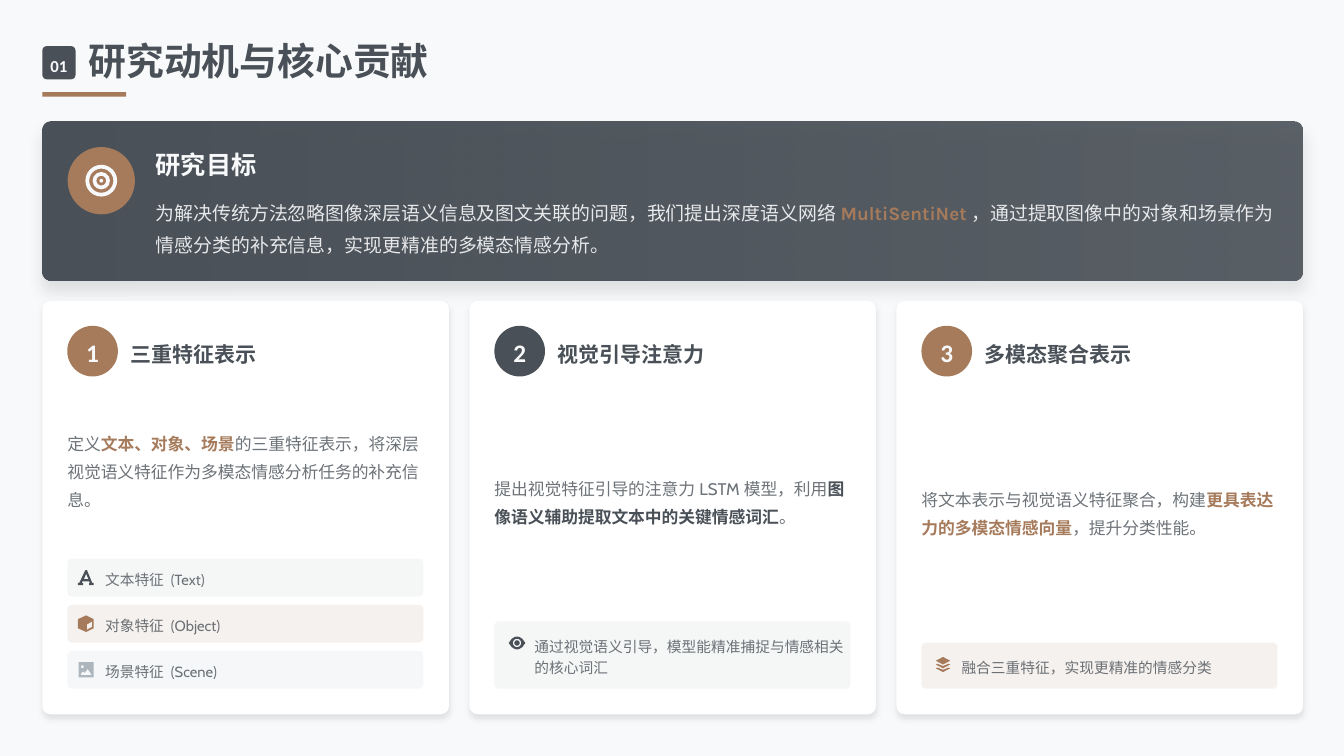
import math

import pptx
import pptx.dml.color
import pptx.enum.shapes
import pptx.enum.text
import pptx.oxml
import pptx.oxml.ns
import pptx.util
from pptx.util import Inches

COLORS = {"slate": "495057", "copper": "A67B5C", "mist": "ADB5BD",
          "pale": "F8F9FA", "white": "FFFFFF"}
HEADING = "Noto Sans CJK SC"
BODY = "Cabin"
NUMBER = "Calibri"
SHAPES = pptx.enum.shapes.MSO_SHAPE
ALIGN = pptx.enum.text.PP_ALIGN


def circle(x, y, radius):
    """Return the points of a circle in hundredths of an inch."""
    return [(x + radius * math.cos(step * math.pi / 16),
             y + radius * math.sin(step * math.pi / 16)) for step in range(32)]


def layer(shift):
    """Return one lower sheet of the stack icon."""
    points = [(2, 9), (9.5, 12), (17, 9), (19, 10), (9.5, 15), (0, 10)]
    return [(x, y + shift) for x, y in points]


ICONS = {
    "letter": [[(10, 1), (12, 1), (19, 18), (21, 18), (21, 21), (15, 21), (15, 18),
                (16, 18), (15, 16), (6, 16), (5, 18), (7, 18), (7, 21), (0, 21),
                (0, 18), (2, 18)], [(11, 6), (8, 13), (14, 13)]],
    "cube": [[(11, 0), (21, 5), (21, 17), (11, 22), (0, 17), (0, 5)],
             [(19, 8), (12, 12), (12, 19), (19, 15)]],
    "image": [[(1, 1), (21, 1), (21, 21), (1, 21)], circle(6, 7, 2),
              [(4, 18), (4, 16), (7, 13), (9, 15), (13, 10), (18, 17), (18, 18)]],
    "eye": [[(0, 9.5), (4, 4), (8, 1.5), (11, 1), (14, 1.5), (18, 4), (22, 9.5),
             (18, 15), (14, 17.5), (11, 18), (8, 17.5), (4, 15)],
            circle(11, 9.5, 5.5), circle(11, 9.5, 3.5)],
    "stack": [[(9.5, 0), (19, 5), (9.5, 10), (0, 5)], layer(0), layer(5)],
}


def paint(fill, color, alpha=100):
    """Fill with a named colour at an opacity in percent."""
    fill.solid()
    fill.fore_color.rgb = pptx.dml.color.RGBColor.from_string(COLORS[color])
    if alpha < 100:
        element = fill._xPr.find(".//" + pptx.oxml.ns.qn("a:srgbClr"))
        element.append(pptx.oxml.parse_xml(
            f'<a:alpha {pptx.oxml.ns.nsdecls("a")} val="{alpha * 1000}"/>'))


def add_block(slide, kind, box, color, alpha=100, radius=None):
    """Add a borderless preset shape, with a corner radius in inches."""
    shape = slide.shapes.add_shape(kind, *map(Inches, box))
    shape.shadow.inherit = False
    shape.line.fill.background()
    paint(shape.fill, color, alpha)
    if radius:
        shape.adjustments[0] = radius / min(box[2:])
    return shape


def add_shadow(shape, blur, distance):
    """Give the shape a soft downward shadow, lengths in points."""
    effects = shape._element.spPr.find(pptx.oxml.ns.qn("a:effectLst"))
    effects.append(pptx.oxml.parse_xml(
        f'<a:outerShdw {pptx.oxml.ns.nsdecls("a")} blurRad="{blur * 12700}" '
        f'dist="{distance * 12700}" dir="5400000" algn="ctr" rotWithShape="0">'
        '<a:srgbClr val="000000"><a:alpha val="10000"/></a:srgbClr></a:outerShdw>'))


def write(shape, runs, size, font, spacing, bold=False, align=ALIGN.LEFT, wrap=True):
    """Write (text, colour, opacity, bold, font) runs as one paragraph."""
    frame = shape.text_frame
    frame.word_wrap = wrap
    frame.vertical_anchor = pptx.enum.text.MSO_ANCHOR.MIDDLE
    frame.margin_left = frame.margin_right = frame.margin_top = frame.margin_bottom = 0
    paragraph = frame.paragraphs[0]
    paragraph.alignment = align
    paragraph.line_spacing = spacing
    for text, color, alpha, *style in runs:
        run = paragraph.add_run()
        run.text = text
        run.font.size = pptx.util.Pt(size)
        run.font.bold = style[0] if style else bold
        paint(run.font.fill, color, alpha)
        run.font.name = style[1] if len(style) > 1 else font
        run.font._element.find(pptx.oxml.ns.qn("a:latin")).addnext(pptx.oxml.parse_xml(
            f'<a:ea {pptx.oxml.ns.nsdecls("a")} typeface="{HEADING}"/>'))


def add_text(slide, box, runs, size, font, spacing, **options):
    """Add a text box."""
    write(slide.shapes.add_textbox(*map(Inches, box)), runs, size, font, spacing, **options)


def add_icon(slide, name, left, top, color):
    """Draw a named icon as one outline."""
    builder = None
    for contour in ICONS[name]:
        points = [(Inches(x / 100), Inches(y / 100)) for x, y in contour]
        if builder is None:
            builder = slide.shapes.build_freeform(*points[0])
        else:
            builder.move_to(*points[0])
        builder.add_line_segments(points[1:], close=True)
    shape = builder.convert_to_shape(Inches(left), Inches(top))
    shape.shadow.inherit = False
    shape.line.fill.background()
    paint(shape.fill, color)


def add_title(slide, left, top):
    """Add the numbered title and its underline."""
    badge = add_block(slide, SHAPES.ROUNDED_RECTANGLE, (left, top + 0.05, 0.44, 0.44),
                      "slate", radius=0.06)
    write(badge, [("01", "pale", 100)], 16, NUMBER, 1.3, bold=True, align=ALIGN.CENTER)
    add_text(slide, (left + 0.61, top, 4.75, 0.56), [("研究动机与核心贡献", "slate", 100)],
             36, HEADING, 0.9, bold=True, wrap=False)
    add_block(slide, SHAPES.RECTANGLE, (left, top + 0.66, 1.11, 0.06), "copper")


def add_goal(slide, left, top, width, height):
    """Add the dark banner with the research goal."""
    panel = add_block(slide, SHAPES.ROUNDED_RECTANGLE, (left, top, width, height),
                      "slate", radius=0.11)
    panel.fill.gradient()
    panel.fill.gradient_angle = 0
    for stop in panel.fill.gradient_stops:
        stop.color.rgb = pptx.dml.color.RGBColor.from_string(COLORS["slate"])
    last = panel._element.spPr.findall(".//" + pptx.oxml.ns.qn("a:srgbClr"))[-1]
    last.append(pptx.oxml.parse_xml(
        f'<a:alpha {pptx.oxml.ns.nsdecls("a")} val="90000"/>'))
    add_shadow(panel, 15, 10)
    center_x, center_y = left + 0.78, top + 0.78
    for kind, size, color, ring in [(SHAPES.OVAL, 0.89, "copper", None),
                                    (SHAPES.DONUT, 0.42, "pale", 0.05),
                                    (SHAPES.DONUT, 0.23, "pale", 0.05),
                                    (SHAPES.OVAL, 0.05, "pale", None)]:
        add_block(slide, kind, (center_x - size / 2, center_y - size / 2, size, size),
                  color, radius=ring)
    add_text(slide, (left + 1.5, top + 0.33, 15, 0.44), [("研究目标", "pale", 100)],
             24, HEADING, 1.1, bold=True)
    add_text(slide, (left + 1.5, top + 0.95, 14.96, 0.82), [
        ("为解决传统方法忽略图像深层语义信息及图文关联的问题，我们提出深度语义网络", "pale", 90),
        ("MultiSentiNet", "copper", 100, True, "Karla"),
        ("，通过提取图像中的对象和场景作为情感分类的补充信息，实现更精准的多模态情感分析。", "pale", 90),
    ], 18, BODY, 1.4)


def add_chip(slide, box, text, icon, tint, alpha, icon_offset, text_offset):
    """Add a tinted strip with an icon and a caption."""
    left, top, width, height = box
    add_block(slide, SHAPES.ROUNDED_RECTANGLE, box, tint, alpha, radius=0.06)
    add_icon(slide, icon, left + icon_offset, top + icon_offset, tint)
    inset = 0.17 if text_offset > 0.5 else 0.11
    add_text(slide, (left + text_offset, top + inset, 4.11, height - 2 * inset),
             [(text, "slate", 80)], 14, BODY, 1.2)


def add_card(slide, box, number, color, title, runs, chips, chip_height, offsets):
    """Add a contribution card whose chips rest on its lower margin."""
    left, top, width, height = box
    card = add_block(slide, SHAPES.ROUNDED_RECTANGLE, box, "white", radius=0.11)
    add_shadow(card, 6, 4)
    inner = left + 0.33
    badge = add_block(slide, SHAPES.OVAL, (inner, top + 0.33, 0.67, 0.67), color)
    write(badge, [(number, "pale", 100)], 24, NUMBER, 1.1, bold=True, align=ALIGN.CENTER)
    add_text(slide, (inner + 0.83, top + 0.47, 2.08, 0.39), [(title, "slate", 100)],
             20, HEADING, 1.2, bold=True, wrap=False)
    pitch = chip_height + 0.11
    first = top + height - 0.34 - chip_height - pitch * (len(chips) - 1)
    add_text(slide, (inner, top + 1.22, 4.82, first - top - 1.44), runs, 16, BODY, 1.4)
    for index, chip in enumerate(chips):
        add_chip(slide, (inner, first + index * pitch, 4.71, chip_height), *chip, *offsets)


def main():
    """Build and save the slide."""
    presentation = pptx.Presentation()
    presentation.slide_width, presentation.slide_height = Inches(17.78), Inches(10)
    slide = presentation.slides.add_slide(presentation.slide_layouts[6])
    paint(slide.background.fill, "pale")
    add_title(slide, 0.56, 0.56)
    add_goal(slide, 0.56, 1.61, 16.67, 2.1)
    cards = [
        ("copper", "三重特征表示",
         [("定义", "slate", 80), ("文本、对象、场景", "copper", 100, True),
          ("的三重特征表示，将深层视觉语义特征作为多模态情感分析任务的补充信息。", "slate", 80)],
         [("文本特征 (Text)", "letter", "slate", 5), ("对象特征 (Object)", "cube", "copper", 10),
          ("场景特征 (Scene)", "image", "mist", 10)], 0.5, (0.14, 0.5)),
        ("slate", "视觉引导注意力",
         [("提出视觉特征引导的注意力LSTM模型，利用", "slate", 80),
          ("图像语义辅助提取文本中的关键情感词汇", "slate", 100, True), ("。", "slate", 80)],
         [("通过视觉语义引导，模型能精准捕捉与情感相关的核心词汇", "eye", "slate", 5)],
         0.89, (0.19, 0.53)),
        ("copper", "多模态聚合表示",
         [("将文本表示与视觉语义特征聚合，构建", "slate", 80),
          ("更具表达力的多模态情感向量", "copper", 100, True), ("，提升分类性能。", "slate", 80)],
         [("融合三重特征，实现更精准的情感分类", "stack", "copper", 10)], 0.61, (0.19, 0.53)),
    ]
    for index, card in enumerate(cards):
        add_card(slide, (0.56 + 5.65 * index, 3.98, 5.38, 5.47), str(index + 1), *card)
    presentation.save("out.pptx")


if __name__ == "__main__":
    main()
